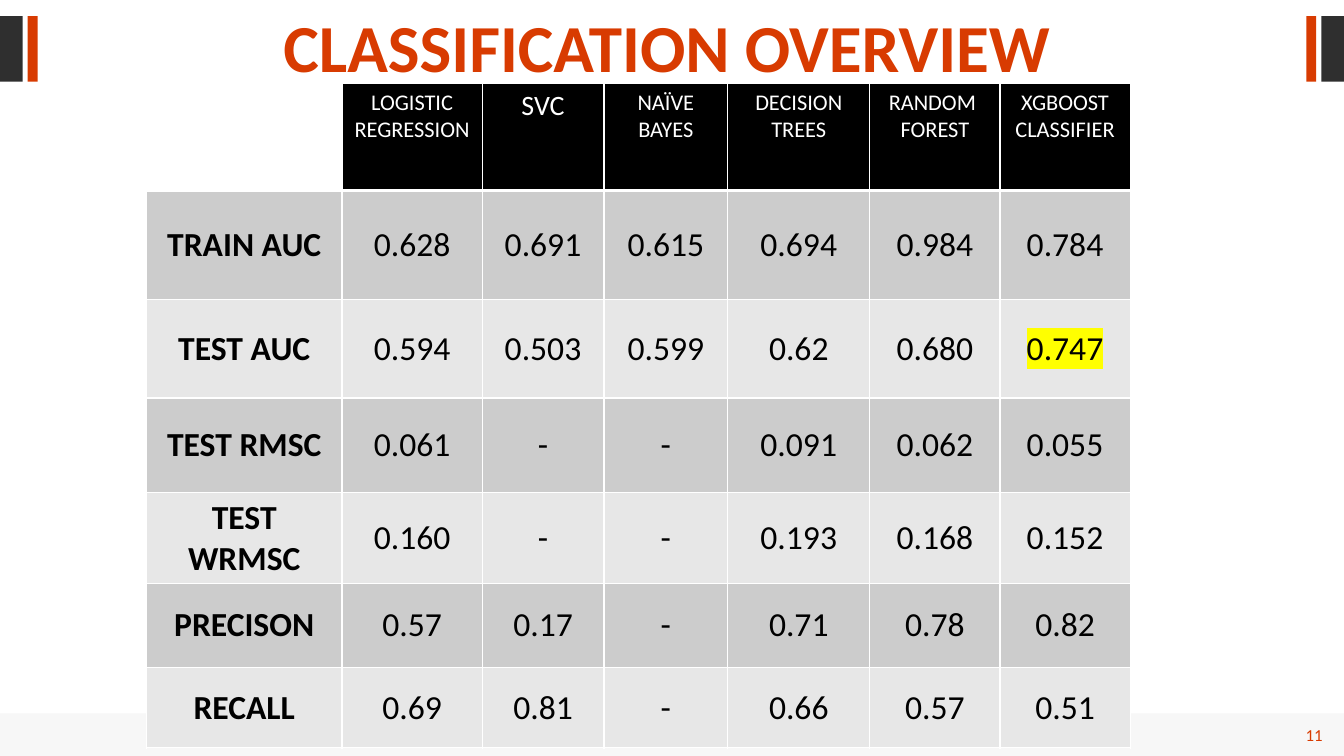
from lxml.etree import SubElement
from pptx import Presentation
from pptx.dml.color import RGBColor
from pptx.enum.shapes import MSO_SHAPE
from pptx.enum.text import MSO_ANCHOR, PP_ALIGN
from pptx.oxml.ns import qn
from pptx.util import Cm, Pt

ORANGE = RGBColor(0xD8, 0x3B, 0x01)
CHARCOAL = RGBColor(0x2F, 0x2F, 0x2F)
BLACK = RGBColor(0x00, 0x00, 0x00)
WHITE = RGBColor(0xFF, 0xFF, 0xFF)
FOOTER_GREY = RGBColor(0xE6, 0xE6, 0xE6)
DARK_BAND = RGBColor(0xCC, 0xCC, 0xCC)
LIGHT_BAND = RGBColor(0xE7, 0xE7, 0xE7)
YELLOW = RGBColor(0xFF, 0xFF, 0x00)

SLIDE_WIDTH, SLIDE_HEIGHT = Cm(33.87), Cm(19.05)
COLUMN_WIDTHS = [4.93, 3.53, 3.07, 3.12, 3.58, 3.28, 3.28]
ROW_HEIGHTS = [2.69, 2.74, 2.49, 2.39, 2.13, 2.11, 2.03]
MODELS = [
    ["LOGISTIC", "REGRESSION"],
    ["SVC"],
    ["NAÏVE", "BAYES"],
    ["DECISION", "TREES"],
    ["RANDOM ", "FOREST"],
    ["XGBOOST", "CLASSIFIER"],
]
SCORES = [
    ["TRAIN AUC", "0.628", "0.691", "0.615", "0.694", "0.984", "0.784"],
    ["TEST AUC", "0.594", "0.503", "0.599", "0.62", "0.680", "0.747"],
    ["TEST RMSC", "0.061", "-", "-", "0.091", "0.062", "0.055"],
    ["TEST WRMSC", "0.160", "-", "-", "0.193", "0.168", "0.152"],
    ["PRECISON", "0.57", "0.17", "-", "0.71", "0.78", "0.82"],
    ["RECALL", "0.69", "0.81", "-", "0.66", "0.57", "0.51"],
]
BEST_TEST_AUC = "0.747"


def add_block(shapes, left, top, width, height, color):
    block = shapes.add_shape(MSO_SHAPE.RECTANGLE, left, top, width, height)
    block.shadow.inherit = False
    block.fill.solid()
    block.fill.fore_color.rgb = color
    block.line.fill.background()
    return block


def write_lines(frame, lines, size, color, bold=False, align=PP_ALIGN.CENTER):
    frame.word_wrap = True
    for index, line in enumerate(lines):
        paragraph = frame.add_paragraph() if index else frame.paragraphs[0]
        paragraph.alignment = align
        run = paragraph.add_run()
        run.text = line
        run.font.name = "Calibri"
        run.font.size = Pt(size)
        run.font.bold = bold
        run.font.color.rgb = color


def add_edge_marker(slide, left, top, width, height, at_right=False):
    dark_width, accent_width = Cm(0.57), Cm(0.25)
    inner = left + width
    dark_left = inner - dark_width if at_right else left
    accent_left = left if at_right else inner - accent_width
    marker = slide.shapes.add_group_shape()
    add_block(marker.shapes, dark_left, top, dark_width, height, CHARCOAL)
    add_block(marker.shapes, accent_left, top, accent_width, height, ORANGE)


def add_footer(slide, left, top, width, height):
    band = add_block(slide.shapes, left, top, width, height, FOOTER_GREY)
    color = band.fill._xPr.find(qn("a:solidFill"))[0]
    SubElement(color, qn("a:alpha"), val="30000")
    number_width = Cm(2.2)
    number = slide.shapes.add_textbox(
        left + width - number_width - Cm(0.29), top + Cm(0.15), number_width, Cm(0.77))
    number.text_frame.vertical_anchor = MSO_ANCHOR.MIDDLE
    write_lines(number.text_frame, ["11"], 12, ORANGE, align=PP_ALIGN.RIGHT)


def add_title(slide, left, top, width, height):
    title = slide.shapes.add_textbox(left, top, width, height)
    write_lines(title.text_frame, ["CLASSIFICATION OVERVIEW"], 48, ORANGE, bold=True)
    title.text_frame.paragraphs[0].line_spacing = 0.8


def set_borders(cell, top=1, bottom=1):
    properties = cell._tc.get_or_add_tcPr()
    for side, points in (("L", 1), ("R", 1), ("T", top), ("B", bottom)):
        line = SubElement(properties, qn(f"a:ln{side}"), w=str(Pt(points)))
        fill = SubElement(line, qn("a:solidFill"))
        SubElement(fill, qn("a:srgbClr"), val=str(WHITE))


def highlight(cell):
    run = cell.text_frame.paragraphs[0].runs[0]
    properties = run.font._element
    mark = SubElement(properties, qn("a:highlight"))
    SubElement(mark, qn("a:srgbClr"), val=str(YELLOW))
    properties.find(qn("a:solidFill")).addnext(mark)


def fill_header(table):
    for column in range(len(COLUMN_WIDTHS)):
        cell = table.cell(0, column)
        set_borders(cell, bottom=3)
        if column == 0:
            cell.fill.background()
            continue
        cell.fill.solid()
        cell.fill.fore_color.rgb = BLACK
        lines = MODELS[column - 1]
        write_lines(cell.text_frame, lines, 16 if len(lines) > 1 else 20, WHITE)


def fill_scores(table):
    for row, scores in enumerate(SCORES, start=1):
        for column, score in enumerate(scores):
            cell = table.cell(row, column)
            set_borders(cell, top=3 if row == 1 else 1)
            cell.fill.solid()
            cell.fill.fore_color.rgb = DARK_BAND if row % 2 else LIGHT_BAND
            cell.vertical_anchor = MSO_ANCHOR.MIDDLE
            write_lines(cell.text_frame, [score], 24, BLACK, bold=column == 0)
            if score == BEST_TEST_AUC:
                highlight(cell)


def add_score_table(slide, left, top, width, height):
    table = slide.shapes.add_table(
        len(ROW_HEIGHTS), len(COLUMN_WIDTHS), left, top, width, height).table
    for column, column_width in zip(table.columns, COLUMN_WIDTHS):
        column.width = Cm(column_width)
    for row, row_height in zip(table.rows, ROW_HEIGHTS):
        row.height = Cm(row_height)
    fill_header(table)
    fill_scores(table)


def main():
    presentation = Presentation()
    presentation.slide_width = SLIDE_WIDTH
    presentation.slide_height = SLIDE_HEIGHT
    slide = presentation.slides.add_slide(presentation.slide_layouts[6])

    marker_top, marker_width, marker_height = Cm(0.41), Cm(0.95), Cm(1.65)
    footer_height = Cm(1.07)
    add_edge_marker(slide, SLIDE_WIDTH - marker_width, marker_top,
                    marker_width, marker_height, at_right=True)
    add_footer(slide, 0, SLIDE_HEIGHT - footer_height, SLIDE_WIDTH, footer_height)
    add_title(slide, Cm(1.19), Cm(0.41), Cm(31.24), Cm(1.96))
    add_edge_marker(slide, 0, marker_top, marker_width, marker_height)
    add_score_table(slide, Cm(3.69), Cm(2.11),
                    Cm(sum(COLUMN_WIDTHS)), Cm(sum(ROW_HEIGHTS)))
    presentation.save("out.pptx")


if __name__ == "__main__":
    main()
